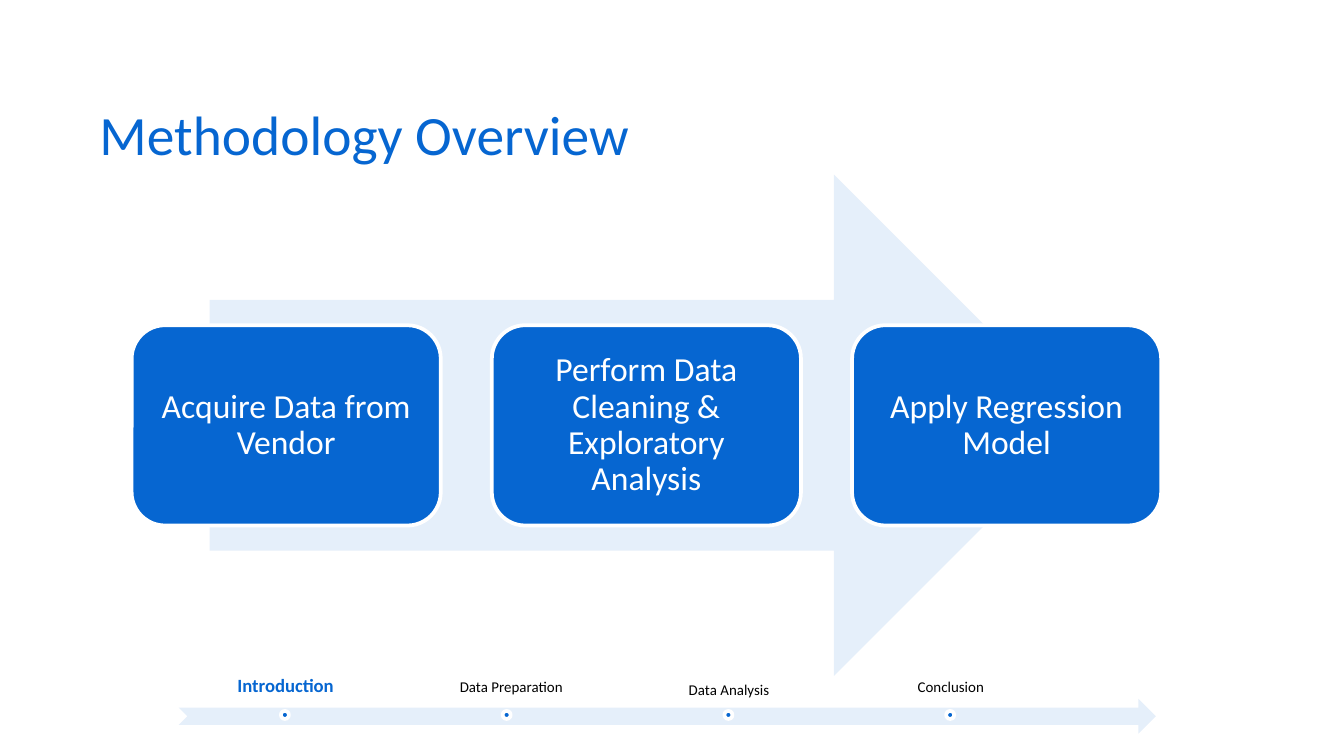
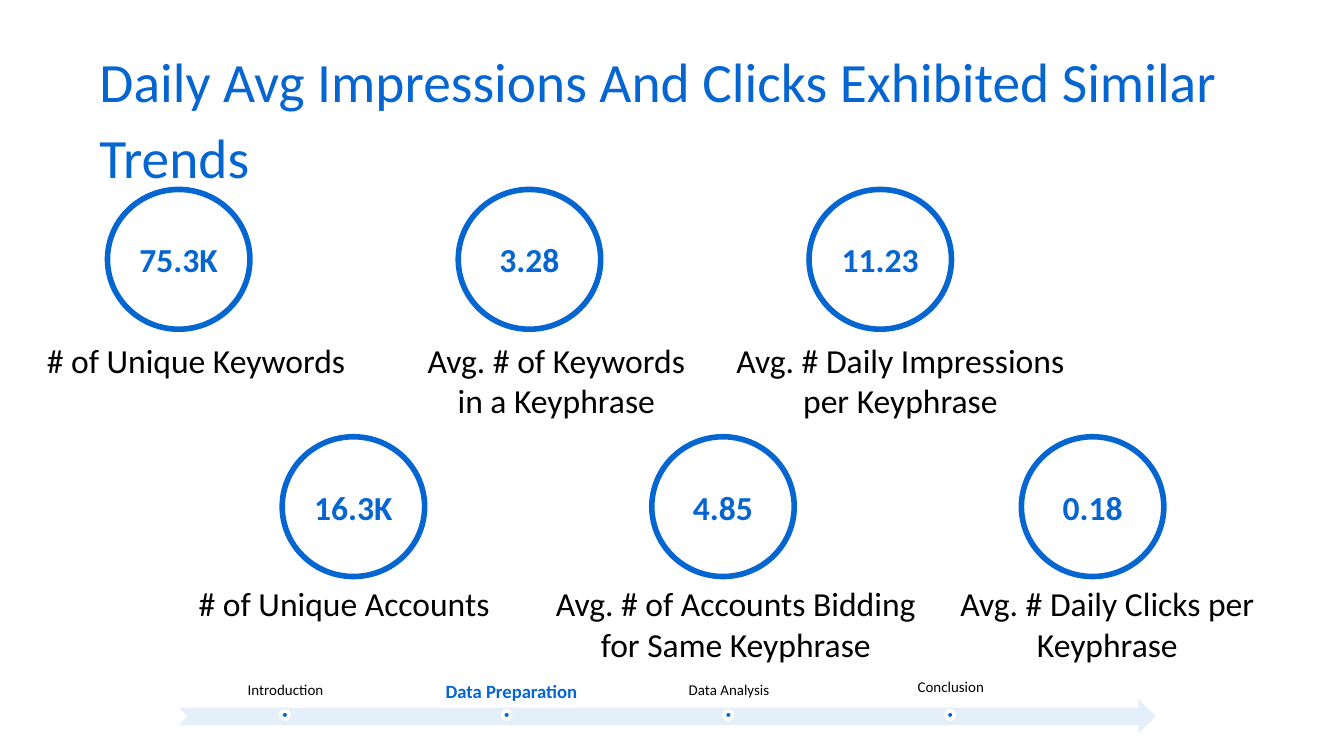
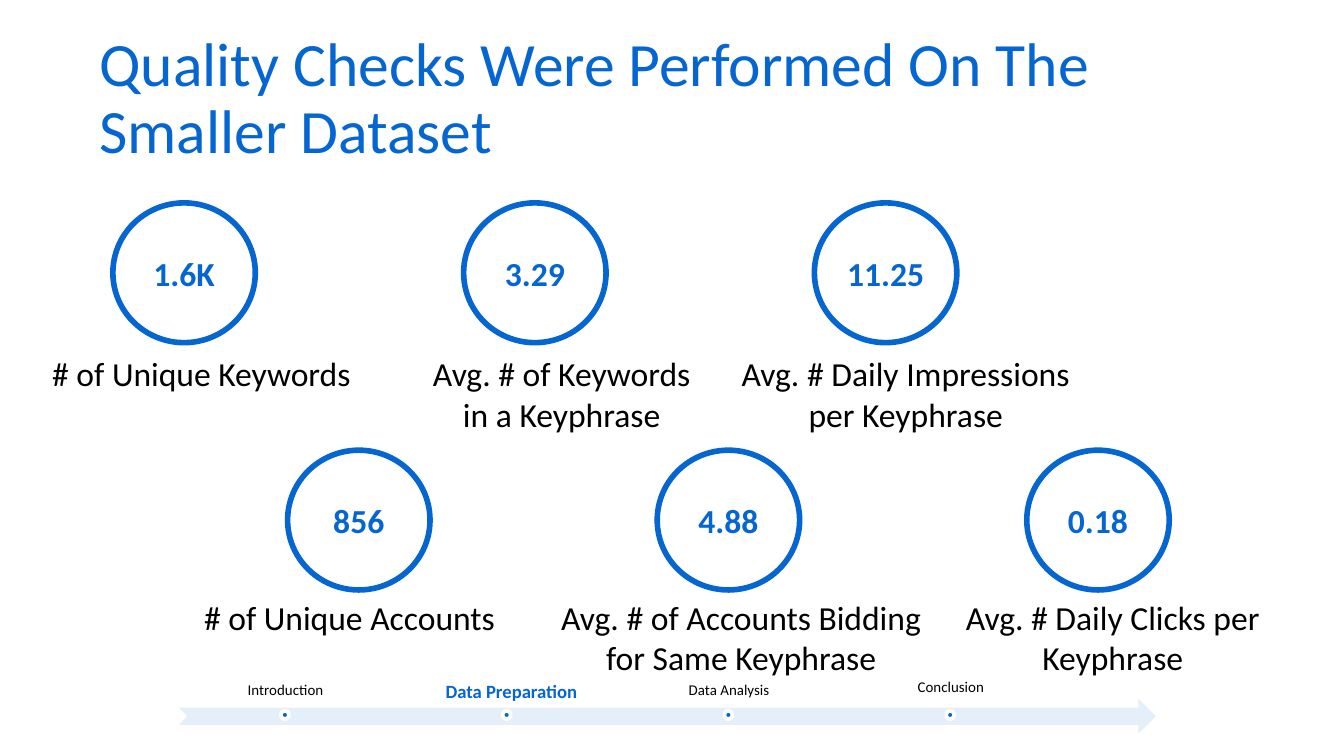
from lxml import etree
from pptx import Presentation
from pptx.dml.color import RGBColor
from pptx.enum.shapes import MSO_SHAPE as SHAPE
from pptx.enum.text import MSO_ANCHOR as ANCHOR, PP_ALIGN as ALIGN
from pptx.oxml.ns import qn
from pptx.util import Inches, Pt

COLORS = {"blue": "0666D1", "white": "FFFFFF", "black": "000000"}
FONT = "Calibri"
W, H = 10, 5.625
TITLE_LEFT, TITLE_W, TITLE_H = 0.69, 8.62, 1.09
STAGES = ["Introduction", "Data Preparation", "Data Analysis", "Conclusion"]
STAGE_LEFT, STAGE_STEP, STAGE_W = 1.34, 1.65, 1.57
DOT = 0.06


def put_text(sp, text, size=18, color="black", bold=False, align=ALIGN.CENTER,
             anchor=ANCHOR.TOP, inset=(0.1, 0.05), spacing=None, wrap=True):
    tf = sp.text_frame
    tf.word_wrap = wrap
    tf.vertical_anchor = anchor
    tf.margin_left = tf.margin_right = Inches(inset[0])
    tf.margin_top = tf.margin_bottom = Inches(inset[1])
    p = tf.paragraphs[0]
    p.alignment = align
    if spacing:
        p.line_spacing = spacing
    r = p.add_run()
    r.text = text
    r.font.name, r.font.size, r.font.bold = FONT, Pt(size), bold
    r.font.color.rgb = RGBColor.from_string(COLORS[color])


def add_box(s, x, y, w, h, kind=None, fill=None, alpha=None, line=None, weight=2):
    """Add a preset shape, or a text box when no kind is given; sizes in inches."""
    at = [Inches(v) for v in (x, y, w, h)]
    if kind is None:
        return s.shapes.add_textbox(*at)
    sp = s.shapes.add_shape(kind, *at)
    sp.shadow.inherit = False
    if fill:
        sp.fill.solid()
        sp.fill.fore_color.rgb = RGBColor.from_string(COLORS[fill])
        if alpha:
            clr = sp.fill._xPr.find(".//" + qn("a:srgbClr"))
            etree.SubElement(clr, qn("a:alpha")).set("val", str(alpha * 1000))
    else:
        sp.fill.background()
    if line:
        sp.line.color.rgb = RGBColor.from_string(COLORS[line])
        sp.line.width = Pt(weight)
    else:
        sp.line.fill.background()
    return sp


prs = Presentation()
prs.slide_width, prs.slide_height = Inches(W), Inches(H)

# Title, top, size, line spacing, current stage
PAGES = [
    ("Methodology Overview", 0.3, 29.7, 1.6, 0),
    ("Daily Avg Impressions And Clicks Exhibited Similar Trends", 0.3, 29.7, 1.15, 1),
    ("Quality Checks Were Performed On The Smaller Dataset", 0.2, 33, 0.9, 1),
]
slides = []
for title, top, size, spacing, current in PAGES:
    s = prs.slides.add_slide(prs.slide_layouts[6])
    slides.append(s)
    put_text(add_box(s, TITLE_LEFT, top, TITLE_W, TITLE_H), title, size=size,
             color="blue", align=ALIGN.LEFT, anchor=ANCHOR.MIDDLE,
             inset=(0.05, 0.02), spacing=spacing)
    add_box(s, 1.33, 5.2, 7.27, 0.26, SHAPE.NOTCHED_RIGHT_ARROW, "blue", alpha=10)
    for i, stage in enumerate(STAGES):
        x = STAGE_LEFT + i * STAGE_STEP
        on = i == current
        look = {"size": 10, "color": "blue", "bold": True} if on else {"size": 8}
        pad = 0.08 if on else 0.06
        put_text(add_box(s, x + 0.03 * (i == 1), 5, STAGE_W, 0.26), stage,
                 anchor=ANCHOR.TOP if i % 2 else ANCHOR.BOTTOM,
                 inset=(pad, pad), spacing=0.9, **look)
        add_box(s, x + 0.75, 5.29, DOT, DOT, SHAPE.OVAL, "blue", line="white")

# Slide 1: process arrow with three steps
s = slides[0]
STEPS = ["Acquire Data from Vendor", "Perform Data Cleaning & Exploratory Analysis",
         "Apply Regression Model"]
add_box(s, 1.56, 1.3, 6.51, 3.73, SHAPE.RIGHT_ARROW, "blue", alpha=10)
for i, step in enumerate(STEPS):
    sp = add_box(s, 0.98 + i * 2.68, 2.42, 2.3, 1.49, SHAPE.ROUNDED_RECTANGLE,
                 "blue", line="white")
    put_text(sp, step, color="white", anchor=ANCHOR.MIDDLE, inset=(0.07, 0.07),
             spacing=0.9)

# Slides 2 and 3: two staggered rows of metrics
# Circle left, column step, circle top, label top, labels (text, left, width)
ROWS = [
    (0.8, 2.61, 1.41, 2.48, [
        ("# of Unique Keywords", 0.25, 2.56),
        ("Avg. # of Keywords in a Keyphrase", 3.01, 2.26),
        ("Avg. # Daily Impressions per Keyphrase", 5.27, 2.86)]),
    (2.1, 2.75, 3.25, 4.29, [
        ("# of Unique Accounts", 1.38, 2.56),
        ("Avg. # of Accounts Bidding for Same Keyphrase", 3.95, 3.05),
        ("Avg. # Daily Clicks per Keyphrase", 6.81, 2.86)]),
]
METRICS = [
    (slides[1], 0, 0, [["75.3K", "3.28", "11.23"], ["16.3K", "4.85", "0.18"]]),
    (slides[2], 0.04, 0.1, [["1.6K", "3.29", "11.25"], ["856", "4.88", "0.18"]]),
]
for s, dx, dy, values in METRICS:
    for (left, step, top, label_top, labels), row in zip(ROWS, values):
        for i, (value, (label, x, w)) in enumerate(zip(row, labels)):
            sp = add_box(s, left + i * step + dx, top + dy, 1.06, 1.04,
                         SHAPE.FLOWCHART_CONNECTOR, line="blue", weight=3)
            put_text(sp, value, color="blue", bold=True, anchor=ANCHOR.MIDDLE,
                     inset=(0, 0), wrap=False)
            put_text(add_box(s, x + dx, label_top + dy, w, 0.71 if i else 0.4),
                     label, align=ALIGN.CENTER if i else ALIGN.LEFT)

prs.save("out.pptx")
